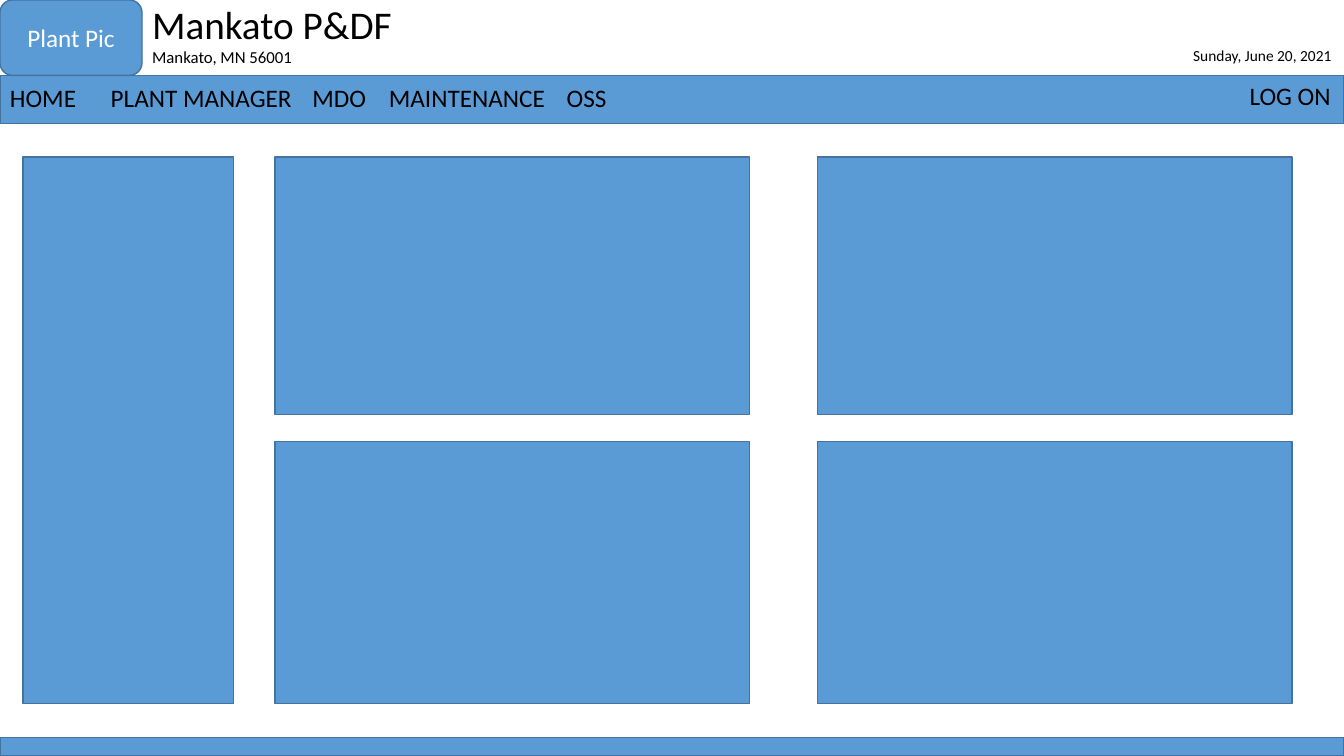
from pptx import Presentation
from pptx.util import Cm, Pt
from pptx.dml.color import RGBColor
from pptx.enum.shapes import MSO_SHAPE
from pptx.enum.text import MSO_ANCHOR, MSO_AUTO_SIZE, PP_ALIGN
from pptx.oxml import parse_xml
from pptx.oxml.ns import nsdecls

WIDE, HIGH = 33.87, 19.05
BLUE, EDGE, BLACK, WHITE = "5B9BD5", "43739E", "000000", "FFFFFF"
TABS = [2.54, 7.62, 9.55, 14.03]


def color(code):
    return RGBColor.from_string(code)


def style(para, size, code=BLACK, align=PP_ALIGN.LEFT):
    para.alignment = align
    para.line_spacing = 1.0
    para.space_before = Pt(0)
    para.font.name = "Calibri"
    para.font.size = Pt(size)
    para.font.color.rgb = color(code)


def block(slide, x, y, w, h, kind=MSO_SHAPE.RECTANGLE):
    shape = slide.shapes.add_shape(kind, Cm(x), Cm(y), Cm(w), Cm(h))
    shape.shadow.inherit = False
    shape.fill.solid()
    shape.fill.fore_color.rgb = color(BLUE)
    shape.line.color.rgb = color(EDGE)
    shape.line.width = Pt(1)
    return shape


def label(slide, x, y, w, h, text, size):
    box = slide.shapes.add_textbox(Cm(x), Cm(y), Cm(w), Cm(h))
    frame = box.text_frame
    frame.word_wrap = True
    frame.margin_right = 0
    frame.text = text
    style(frame.paragraphs[0], size)
    return frame.paragraphs[0]


def header(slide, x, y, w, h):
    # Plant picture button
    side = 3.58
    button = block(slide, x, y, side, h, MSO_SHAPE.ROUNDED_RECTANGLE)
    frame = button.text_frame
    frame.text = "Plant Pic"
    frame.vertical_anchor = MSO_ANCHOR.MIDDLE
    style(frame.paragraphs[0], 18, WHITE, PP_ALIGN.CENTER)

    # Plant name and place
    title = slide.shapes.title
    title.left, title.top = Cm(x + side), Cm(y - 0.13)
    title.width, title.height = Cm(11.66), Cm(1.96)
    frame = title.text_frame
    frame.text = "Mankato P&DF\nMankato, MN 56001"
    frame.auto_size = MSO_AUTO_SIZE.NONE
    frame.vertical_anchor = MSO_ANCHOR.TOP
    for para, size in zip(frame.paragraphs, (28, 12)):
        style(para, size)

    # Date
    label(slide, x + w - 4.05, y + 1.04, 4.05, 0.74, "Sunday, June 20, 2021", 11)


def menu(slide, x, y, w, h):
    block(slide, x, y, w, h)
    items = ["HOME", "PLANT MANAGER", "MDO", "MAINTENANCE", "OSS"]
    para = label(slide, x, y + 0.06, 29.57, 1.02, "\t".join(items), 18)
    stops = "".join(f'<a:tab pos="{Cm(tab)}" algn="l"/>' for tab in TABS)
    props = para._p.get_or_add_pPr()
    props.append(parse_xml(f'<a:tabLst {nsdecls("a")}>{stops}</a:tabLst>'))
    label(slide, x + w - 2.63, y, 2.63, 1.02, "LOG ON", 18)


def body(slide, x, y, w, h):
    # Side panel
    block(slide, x, y, 5.31, h)
    # Two by two panels
    wide = 11.96
    for left in (x + 6.35, x + w - wide):
        for top, tall in ((y, 6.48), (y + h - 6.6, 6.6)):
            block(slide, left, top, wide, tall)


def main():
    deck = Presentation()
    deck.slide_width, deck.slide_height = Cm(WIDE), Cm(HIGH)
    slide = deck.slides.add_slide(deck.slide_layouts[5])
    menu(slide, 0, 1.9, WIDE, 1.22)
    header(slide, 0, 0, WIDE, 1.9)
    body(slide, 0.58, 3.96, 31.98, 13.77)
    # Footer band
    block(slide, 0, HIGH - 0.46, WIDE, 0.46)
    deck.save("out.pptx")


if __name__ == "__main__":
    main()
